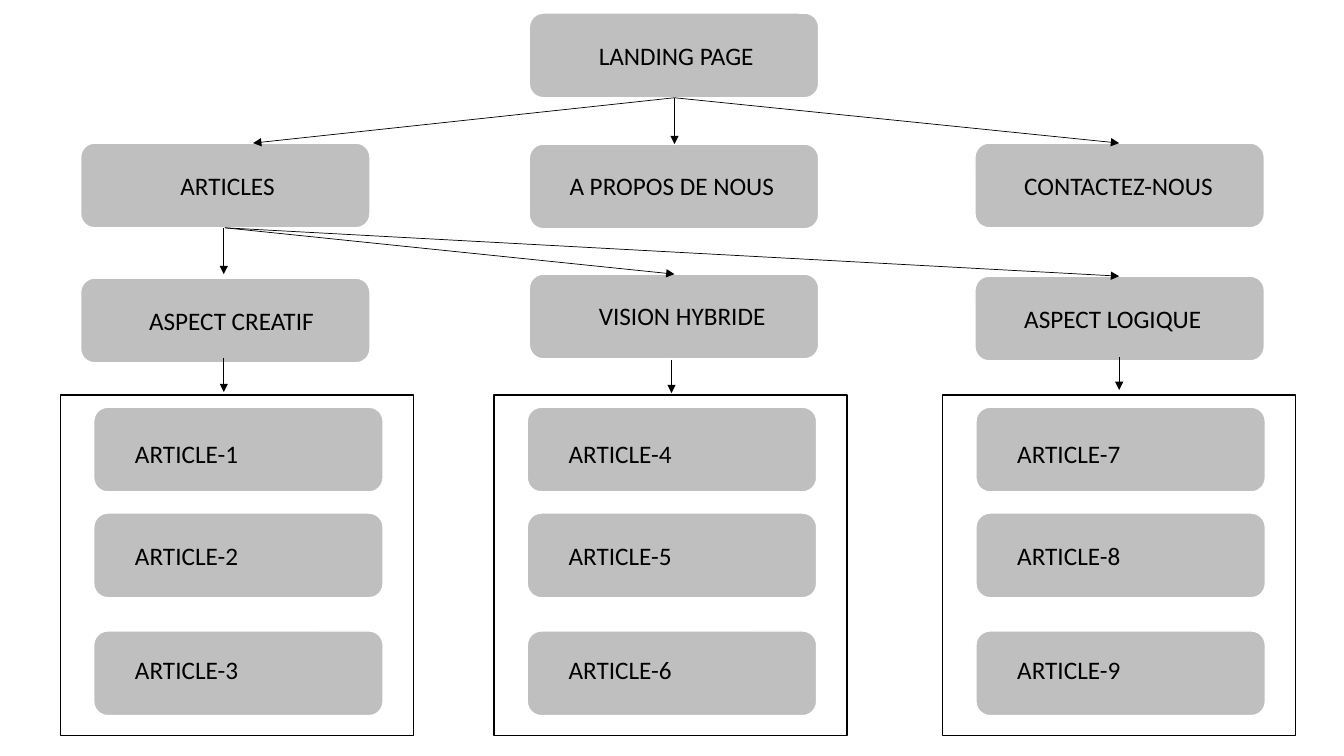
from lxml import etree
from pptx import Presentation
from pptx.dml.color import RGBColor
from pptx.enum import shapes
from pptx.oxml import ns
from pptx.util import Inches, Pt

GREY = RGBColor(0xBF, 0xBF, 0xBF)
WHITE = RGBColor(0xFF, 0xFF, 0xFF)
BLACK = RGBColor(0x00, 0x00, 0x00)
BOX_WIDTH, BOX_HEIGHT = 2.87, 0.84
LABEL_WIDTH = 2.28

presentation = Presentation()
presentation.slide_width = Inches(13.33)
presentation.slide_height = Inches(7.5)
slide = presentation.slides.add_slide(presentation.slide_layouts[6])


def add_page(name, left, top, label_left, label_top, label_height=0.4):
    """Draw a rounded grey box with its label."""
    box = slide.shapes.add_shape(
        shapes.MSO_SHAPE.ROUNDED_RECTANGLE,
        Inches(left), Inches(top), Inches(BOX_WIDTH), Inches(BOX_HEIGHT))
    box.shadow.inherit = False
    box.fill.solid()
    box.fill.fore_color.rgb = GREY
    box.line.color.rgb = WHITE
    box.line.width = Pt(1)

    label = slide.shapes.add_textbox(
        Inches(label_left), Inches(label_top), Inches(LABEL_WIDTH), Inches(label_height))
    label.text_frame.word_wrap = True
    label.text_frame.text = name
    font = label.text_frame.paragraphs[0].runs[0].font
    font.name = "Calibri"
    font.size = Pt(18)
    font.color.rgb = BLACK


# Main pages: name, box left and top, label left and top
pages = [
    ("LANDING PAGE", 5.25, 0.13, 5.84, 0.35),
    ("ARTICLES", 0.8, 1.42, 1.69, 1.64),
    ("A PROPOS DE NOUS", 5.25, 1.43, 5.55, 1.64),
    ("CONTACTEZ-NOUS", 9.67, 1.42, 10.06, 1.64),
    ("ASPECT CREATIF", 0.8, 2.76, 1.38, 2.98),
    ("VISION HYBRIDE", 5.25, 2.72, 5.84, 2.93),
    ("ASPECT LOGIQUE", 9.67, 2.74, 10.06, 2.96),
]
for page in pages:
    add_page(*page)

# Three framed groups of three articles
article_rows = [(4.04, 4.3, 0.71), (5.09, 5.31, 0.71), (6.26, 6.44, 0.4)]
for group, frame_left in enumerate([0.6, 4.9, 9.35]):
    for row, (top, label_top, label_height) in enumerate(article_rows):
        number = group * len(article_rows) + row + 1
        add_page(f"ARTICLE-{number}", frame_left + 0.33, top,
                 frame_left + 0.64, label_top, label_height)
    frame = slide.shapes.add_shape(
        shapes.MSO_SHAPE.RECTANGLE,
        Inches(frame_left), Inches(3.92), Inches(3.5), Inches(3.38))
    frame.shadow.inherit = False
    frame.fill.background()
    frame.line.color.rgb = BLACK
    frame.line.width = Pt(1)

# Arrows: start x and y, end x and y
arrows = [
    (6.69, 0.97, 2.51, 1.42),
    (6.69, 0.97, 6.69, 1.43),
    (6.69, 0.97, 11.1, 1.42),
    (2.22, 2.26, 2.22, 2.72),
    (2.23, 2.26, 6.69, 2.72),
    (2.23, 2.26, 11.1, 2.74),
    (2.22, 3.55, 2.22, 3.89),
    (6.66, 3.57, 6.66, 3.9),
    (11.1, 3.54, 11.1, 3.87),
]
for ends in arrows:
    arrow = slide.shapes.add_connector(
        shapes.MSO_CONNECTOR.STRAIGHT, *[Inches(value) for value in ends])
    arrow.line.color.rgb = BLACK
    arrow.line.width = Pt(0.5)
    properties = arrow.element.spPr
    etree.SubElement(properties.find(ns.qn("a:ln")), ns.qn("a:tailEnd"), type="triangle")
    etree.SubElement(properties, ns.qn("a:effectLst"))

presentation.save("out.pptx")
